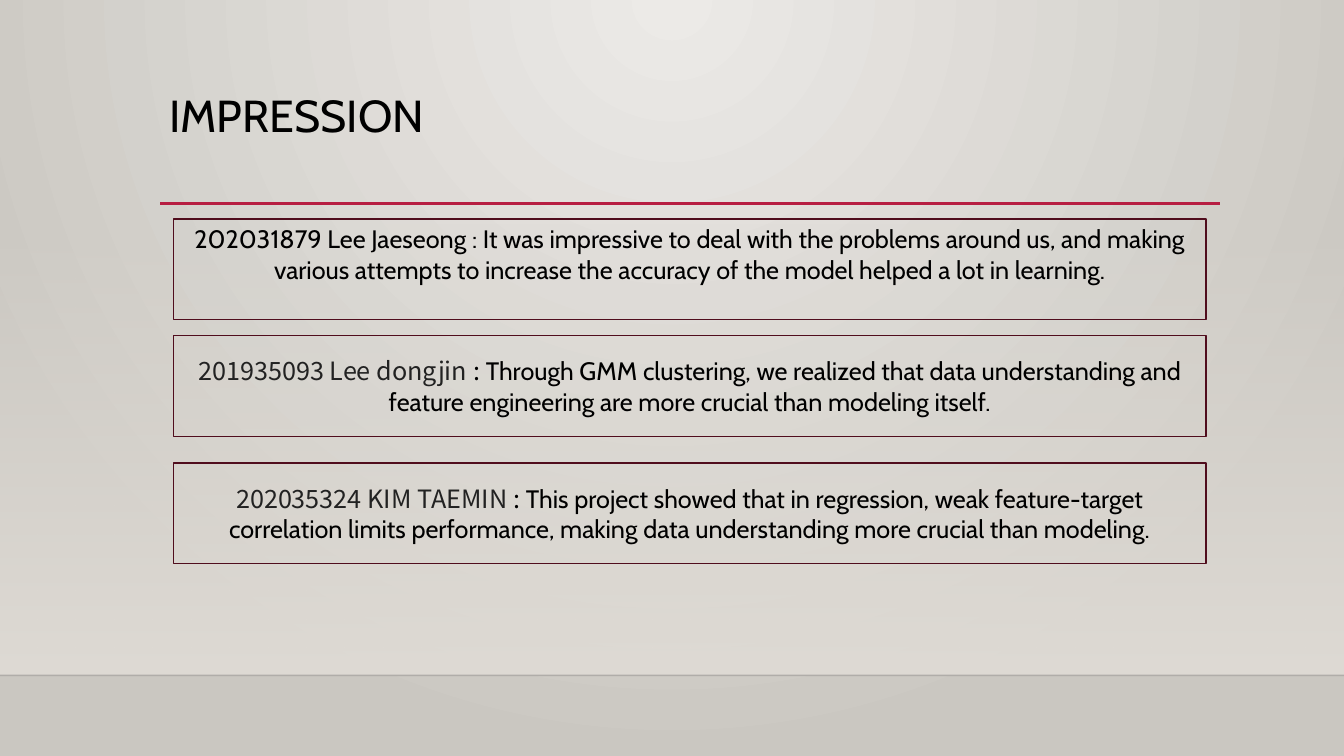
from lxml.etree import SubElement
from pptx import Presentation
from pptx.dml.color import RGBColor
from pptx.enum.shapes import MSO_CONNECTOR, MSO_SHAPE
from pptx.enum.text import MSO_ANCHOR, MSO_AUTO_SIZE, PP_ALIGN
from pptx.oxml.ns import qn
from pptx.util import Inches, Pt

RECT, LINE = MSO_SHAPE.RECTANGLE, MSO_CONNECTOR.STRAIGHT
TOP, MIDDLE = MSO_ANCHOR.TOP, MSO_ANCHOR.MIDDLE
LEFT, CENTER = PP_ALIGN.LEFT, PP_ALIGN.CENTER
WIDE, HIGH, FLOOR = 13.33, 7.5, 6.7

THEME = {
    "glow": ("ECEAE7", "CAC7C1"), "wall": "DFDBD5", "edge": "000001",
    "rule": "B71E42", "frame": "500D1D", "ink": "000000", "name": "222222",
    "latin": "Cabin", "cjk": "Noto Sans CJK KR", "title": 32, "body": 18,
}


def shade(fill, hues):
    fill.gradient()
    for stop, hue, spot in zip(fill.gradient_stops, hues, (0, 1)):
        stop.color.rgb = RGBColor.from_string(hue)
        stop.position = spot


def write(para, text, size, font, hue):
    run = para.add_run()
    run.text = text
    run.font.color.rgb = RGBColor.from_string(THEME[hue])
    for key, value in {"size": Pt(THEME[size]), "name": THEME[font]}.items():
        setattr(run.font, key, value)
    SubElement(run.font._element, qn("a:ea"), typeface=THEME[font])


deck = Presentation()
deck.slide_width, deck.slide_height = Inches(WIDE), Inches(HIGH)
slide = deck.slides.add_slide(deck.slide_layouts[5])
shapes = slide.shapes

# Background: light spreading from the top centre
shade(slide.background.fill, THEME["glow"])
grad = slide.element.find(".//" + qn("a:gradFill"))
for lin in grad.findall(qn("a:lin")):
    grad.remove(lin)
glow = SubElement(grad, qn("a:path"), {"path": "circle"})
SubElement(glow, qn("a:fillToRect"), l="43000", t="0", r="43000", b="100000")

# Wall fading in down to the floor
wall = shapes.add_shape(RECT, 0, Inches(2.21), Inches(WIDE), Inches(FLOOR - 2.21))
wall.shadow.inherit = False
wall.line.fill.background()
shade(wall.fill, [THEME["wall"]] * 2)
wall.fill.gradient_angle = 270
clear = wall._element.find(".//" + qn("a:srgbClr"))
SubElement(clear, qn("a:alpha"), val="0")

# Floor edge and title rule
for left, right, y, hue, width, alpha in (
    (0, WIDE, FLOOR, "edge", 1, 20),
    (1.59, 12.1, 2.02, "rule", 2.5, 100),
):
    rule = shapes.add_connector(LINE, Inches(left), Inches(y), Inches(right), Inches(y))
    rule.line.color.rgb = RGBColor.from_string(THEME[hue])
    rule.line.width = Pt(width)
    tint = rule._element.find(".//" + qn("a:srgbClr"))
    SubElement(tint, qn("a:alpha"), val=str(alpha * 1000))
    SubElement(rule._element.spPr, qn("a:effectLst"))

# Title
title = shapes.title
for key, value in {"left": 1.58, "top": 0.88, "width": 10.5, "height": 1.16}.items():
    setattr(title, key, Inches(value))
frame = title.text_frame
for key, value in {"auto_size": MSO_AUTO_SIZE.NONE, "vertical_anchor": TOP,
                   "word_wrap": True}.items():
    setattr(frame, key, value)
head = frame.paragraphs[0]
head.alignment, head.line_spacing = LEFT, 0.9
write(head, "IMPRESSION", "title", "latin", "ink")

# One framed box for each member: top, bottom inset, runs
NOTES = (
    (2.17, 0.35, (
        ("202031879 Lee Jaeseong : It was impressive to deal with the problems "
         "around us, and making various attempts to increase the accuracy of the "
         "model helped a lot in learning.", "latin", "ink"),)),
    (3.33, 0.05, (
        ("201935093 Lee dongjin ", "cjk", "name"), (": ", "cjk", "ink"),
        ("Through GMM clustering, we realized that data understanding and feature "
         "engineering are more crucial than modeling itself.", "latin", "ink"))),
    (4.59, 0.05, (
        ("202035324 KIM TAEMIN ", "cjk", "name"), (": ", "cjk", "ink"),
        ("This project showed that in regression, weak feature-target correlation "
         "limits performance, making data understanding more crucial than "
         "modeling.", "latin", "ink"))),
)
for top, inset, runs in NOTES:
    box = shapes.add_shape(RECT, Inches(1.72), Inches(top), Inches(10.24), Inches(1))
    box.shadow.inherit = False
    box.fill.background()
    box.line.color.rgb = RGBColor.from_string(THEME["frame"])
    box.line.width = Pt(1.25)
    frame = box.text_frame
    for key, value in {"word_wrap": True, "vertical_anchor": MIDDLE,
                       "margin_bottom": Inches(inset)}.items():
        setattr(frame, key, value)
    para = frame.paragraphs[0]
    para.alignment = CENTER
    for text, font, hue in runs:
        write(para, text, "body", font, hue)

deck.save("out.pptx")
